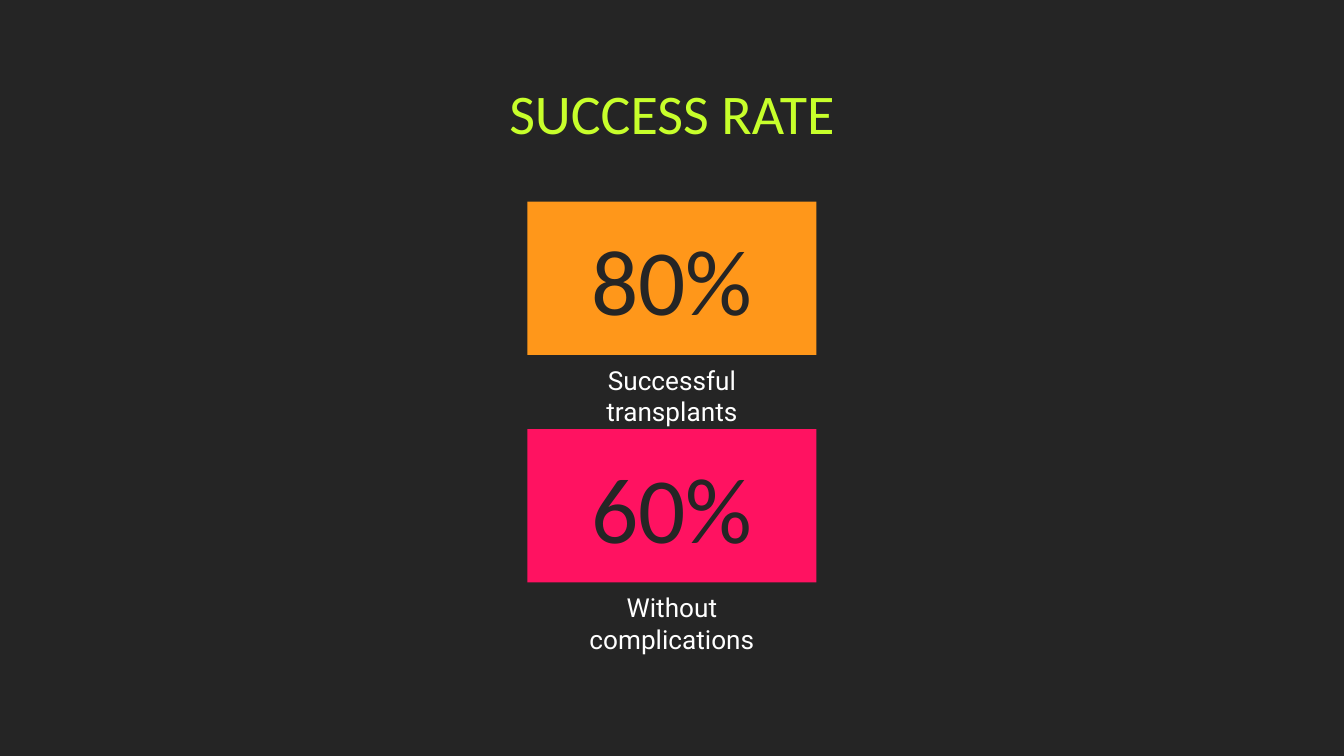
"""Build the success rate slide with two stacked percentage cards."""
import pptx
import pptx.dml.color
import pptx.enum.shapes
import pptx.enum.text
import pptx.util

Cm = pptx.util.Cm
Anchor = pptx.enum.text.MSO_ANCHOR

HEADING = "SUCCESS RATE"
RATES = [
    ("80%", "Successful transplants", "FF971A"),
    ("60%", "Without complications", "FF1261"),
]
BACKGROUND = "252525"
HEADING_FONT = {"name": "Calibri", "size": pptx.util.Pt(30), "bold": False}
RATE_FONT = {"name": "Calibri", "size": pptx.util.Pt(50), "bold": False}
CAPTION_FONT = {"name": "Roboto", "size": pptx.util.Pt(14), "bold": False}

SLIDE_WIDTH, SLIDE_HEIGHT = 25.4, 14.29
HEADING_TOP, HEADING_WIDTH, HEADING_HEIGHT = 1.24, 14.58, 1.6
CARD_TOP, CARD_WIDTH, CARD_HEIGHT, CARD_PITCH = 3.81, 5.46, 2.9, 4.3
CAPTION_OFFSET, CAPTION_HEIGHT = 2.92, 1.5
INSET, CAPTION_INSET = 0.25, 0.4


def color(code):
    return pptx.dml.color.RGBColor.from_string(code)


def centered(top, width, height):
    return [Cm(v) for v in ((SLIDE_WIDTH - width) / 2, top, width, height)]


def write(part, wording, font, ink, anchor=Anchor.MIDDLE, side=INSET):
    frame = part.text_frame
    layout = {
        "word_wrap": True,
        "vertical_anchor": anchor,
        "margin_left": Cm(side),
        "margin_right": Cm(side),
        "margin_top": Cm(INSET),
        "margin_bottom": Cm(INSET),
    }
    for key, value in layout.items():
        setattr(frame, key, value)
    paragraph = frame.paragraphs[0]
    paragraph.alignment = pptx.enum.text.PP_ALIGN.CENTER
    run = paragraph.add_run()
    run.text = wording
    for key, value in font.items():
        setattr(run.font, key, value)
    run.font.color.rgb = color(ink)


def main():
    deck = pptx.Presentation()
    deck.slide_width, deck.slide_height = Cm(SLIDE_WIDTH), Cm(SLIDE_HEIGHT)
    slide = deck.slides.add_slide(deck.slide_layouts[6])
    slide.background.fill.solid()
    slide.background.fill.fore_color.rgb = color(BACKGROUND)

    heading = slide.shapes.add_textbox(*centered(HEADING_TOP, HEADING_WIDTH, HEADING_HEIGHT))
    write(heading, HEADING, HEADING_FONT, "C7FF2B", Anchor.TOP)

    for index, (rate, outcome, fill) in enumerate(RATES):
        top = CARD_TOP + index * CARD_PITCH
        card = slide.shapes.add_shape(
            pptx.enum.shapes.MSO_SHAPE.RECTANGLE, *centered(top, CARD_WIDTH, CARD_HEIGHT))
        card.shadow.inherit = False
        card.fill.solid()
        card.fill.fore_color.rgb = color(fill)
        card.line.fill.background()
        write(card, rate, RATE_FONT, BACKGROUND)
        caption = slide.shapes.add_textbox(
            *centered(top + CAPTION_OFFSET, CARD_WIDTH, CAPTION_HEIGHT))
        write(caption, outcome, CAPTION_FONT, "FFFFFF", side=CAPTION_INSET)

    deck.save("out.pptx")


if __name__ == "__main__":
    main()
